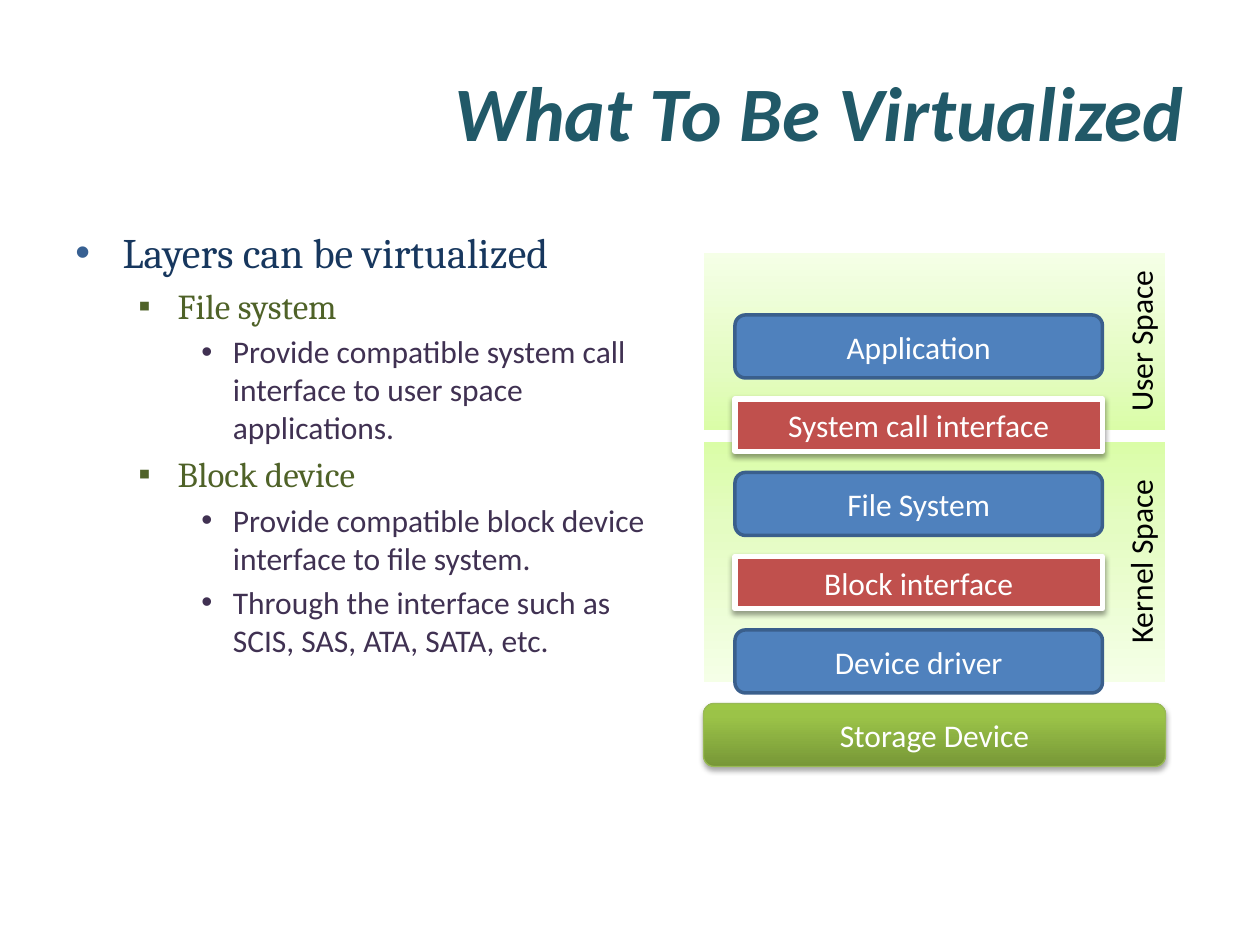
from lxml.etree import SubElement
from pptx import Presentation
from pptx.dml.color import RGBColor
from pptx.enum.shapes import MSO_SHAPE
from pptx.enum.text import MSO_ANCHOR, PP_ALIGN
from pptx.oxml import parse_xml
from pptx.oxml.ns import nsdecls, qn
from pptx.util import Pt

TEAL = RGBColor(0x21, 0x59, 0x68)
NAVY = RGBColor(0x17, 0x37, 0x5E)
BULLET_BLUE = RGBColor(0x37, 0x60, 0x92)
OLIVE = RGBColor(0x4F, 0x62, 0x28)
PURPLE = RGBColor(0x40, 0x31, 0x52)
BLUE = RGBColor(0x4F, 0x81, 0xBD)
BLUE_EDGE = RGBColor(0x3A, 0x5F, 0x8C)
RED = RGBColor(0xC0, 0x50, 0x4D)
GREEN_EDGE = RGBColor(0x98, 0xB9, 0x55)
WHITE = RGBColor(0xFF, 0xFF, 0xFF)
BLACK = RGBColor(0, 0, 0)
LIME = RGBColor(0xDA, 0xFD, 0xA7)
MID_LIME = RGBColor(0xE4, 0xFC, 0xC2)
PALE_LIME = RGBColor(0xF5, 0xFF, 0xE7)
DARK_GREEN = RGBColor(0x77, 0x97, 0x37)
GREEN = RGBColor(0x9B, 0xC3, 0x48)
LIGHT_GREEN = RGBColor(0x9D, 0xC7, 0x46)

TITLE = "What To Be Virtualized"
OUTLINE = [
    (0, "Layers can be virtualized"),
    (1, "File system"),
    (2, "Provide compatible system call interface to user space applications."),
    (1, "Block device"),
    (2, "Provide compatible block device interface to file system."),
    (2, "Through the interface such as SCIS, SAS, ATA, SATA, etc."),
]
LEVELS = [
    dict(margin=27, hang=27, bullet="•", bullet_color=BULLET_BLUE, size=24, font="Cambria", color=NAVY),
    dict(margin=58.5, hang=22.5, bullet="▪", bullet_color=OLIVE, size=20, font="Cambria", color=OLIVE),
    dict(margin=90, hang=18, bullet="•", bullet_color=PURPLE, size=18, font="Calibri", color=PURPLE),
]
SPACES = [
    ("Kernel Space", 252, 138, [(0, PALE_LIME), (65, MID_LIME), (100, LIME)]),
    ("User Space", 144, 102, [(0, LIME), (35, MID_LIME), (100, PALE_LIME)]),
]
LAYERS = [
    ("Application", "component"),
    ("System call interface", "interface"),
    ("File System", "component"),
    ("Block interface", "interface"),
    ("Device driver", "component"),
]
LAYER_STYLES = {
    "component": (MSO_SHAPE.ROUNDED_RECTANGLE, 36, BLUE, BLUE_EDGE, 2),
    "interface": (MSO_SHAPE.RECTANGLE, 30, RED, WHITE, 3),
}
STORAGE_STOPS = [(0, DARK_GREEN), (80, GREEN), (100, LIGHT_GREEN)]
SPACE_LEFT, SPACE_WIDTH = 402, 264
LAYER_LEFT, LAYER_WIDTH = 420, 210
LAYER_TOP, LAYER_GAP = 180, 12
STORAGE_TOP, STORAGE_HEIGHT = 402, 36


def style_font(font, name, size, color):
    font.name = name
    font.size = Pt(size)
    font.color.rgb = color


def add_box(slide, geometry, text, left, top, width, height, fill, edge, edge_width, color=WHITE):
    shape = slide.shapes.add_shape(geometry, Pt(left), Pt(top), Pt(width), Pt(height))
    shape.shadow.inherit = False
    if isinstance(fill, list):
        fill_upward(shape, fill)
    else:
        shape.fill.solid()
        shape.fill.fore_color.rgb = fill
    shape.line.color.rgb = edge
    shape.line.width = Pt(edge_width)
    shape.text_frame.text = text
    shape.text_frame.vertical_anchor = MSO_ANCHOR.MIDDLE
    paragraph = shape.text_frame.paragraphs[0]
    paragraph.alignment = PP_ALIGN.CENTER
    style_font(paragraph.runs[0].font, "Calibri", 18, color)
    return shape


def fill_upward(shape, stops):
    shape.fill.gradient()
    shape.fill.gradient_angle = 90
    stop_list = shape._element.spPr.find(qn("a:gradFill")).find(qn("a:gsLst"))
    for old_stop in list(stop_list):
        stop_list.remove(old_stop)
    for position, color in stops:
        stop = SubElement(stop_list, qn("a:gs"), pos=str(position * 1000))
        SubElement(stop, qn("a:srgbClr"), val=str(color))


def add_shadow(shape, opacity, distance):
    effects = shape._element.spPr.find(qn("a:effectLst"))
    effects.append(parse_xml(
        f'<a:outerShdw {nsdecls("a")} blurRad="{Pt(3.1)}" dist="{Pt(distance)}" dir="5400000" rotWithShape="0">'
        f'<a:srgbClr val="000000"><a:alpha val="{opacity * 1000}"/></a:srgbClr></a:outerShdw>'))


def add_title(slide):
    box = slide.shapes.add_textbox(Pt(36), Pt(18), Pt(648), Pt(90))
    box.text_frame.word_wrap = True
    box.text_frame.vertical_anchor = MSO_ANCHOR.MIDDLE
    box.text_frame.text = TITLE
    paragraph = box.text_frame.paragraphs[0]
    paragraph.alignment = PP_ALIGN.RIGHT
    font = paragraph.runs[0].font
    style_font(font, "Calibri", 44, TEAL)
    font.bold = font.italic = True


def add_outline(slide):
    box = slide.shapes.add_textbox(Pt(36), Pt(126), Pt(354), Pt(356))
    frame = box.text_frame
    frame.word_wrap = True
    for index, (level, text) in enumerate(OUTLINE):
        style = LEVELS[level]
        paragraph = frame.add_paragraph() if index else frame.paragraphs[0]
        paragraph.text = text
        paragraph.level = level
        if index:
            paragraph.space_before = Pt(style["size"] * 0.2)
        properties = paragraph._p.get_or_add_pPr()
        properties.set("marL", str(Pt(style["margin"])))
        properties.set("indent", str(-Pt(style["hang"])))
        bullet_color = SubElement(properties, qn("a:buClr"))
        SubElement(bullet_color, qn("a:srgbClr"), val=str(style["bullet_color"]))
        SubElement(properties, qn("a:buFont"), typeface="Arial")
        SubElement(properties, qn("a:buChar"), char=style["bullet"])
        style_font(paragraph.runs[0].font, style["font"], style["size"], style["color"])


def add_stack(slide):
    for text, top, height, stops in SPACES:
        space = add_box(slide, MSO_SHAPE.RECTANGLE, text, SPACE_LEFT, top, SPACE_WIDTH, height,
                        stops, WHITE, 0.75, BLACK)
        space.text_frame.vertical_anchor = MSO_ANCHOR.BOTTOM
        space.text_frame._txBody.bodyPr.set("vert", "vert270")
    top = LAYER_TOP
    for text, kind in LAYERS:
        geometry, height, fill, edge, edge_width = LAYER_STYLES[kind]
        layer = add_box(slide, geometry, text, LAYER_LEFT, top, LAYER_WIDTH, height, fill, edge, edge_width)
        if kind == "interface":
            add_shadow(layer, 38, 1.6)
        top += height + LAYER_GAP
    storage = add_box(slide, MSO_SHAPE.ROUNDED_RECTANGLE, "Storage Device", SPACE_LEFT, STORAGE_TOP,
                      SPACE_WIDTH, STORAGE_HEIGHT, STORAGE_STOPS, GREEN_EDGE, 0.75)
    add_shadow(storage, 35, 1.8)


def main():
    presentation = Presentation()
    presentation.slide_width = Pt(720)
    presentation.slide_height = Pt(540)
    slide = presentation.slides.add_slide(presentation.slide_layouts[6])
    add_title(slide)
    add_outline(slide)
    add_stack(slide)
    presentation.save("out.pptx")


if __name__ == "__main__":
    main()
